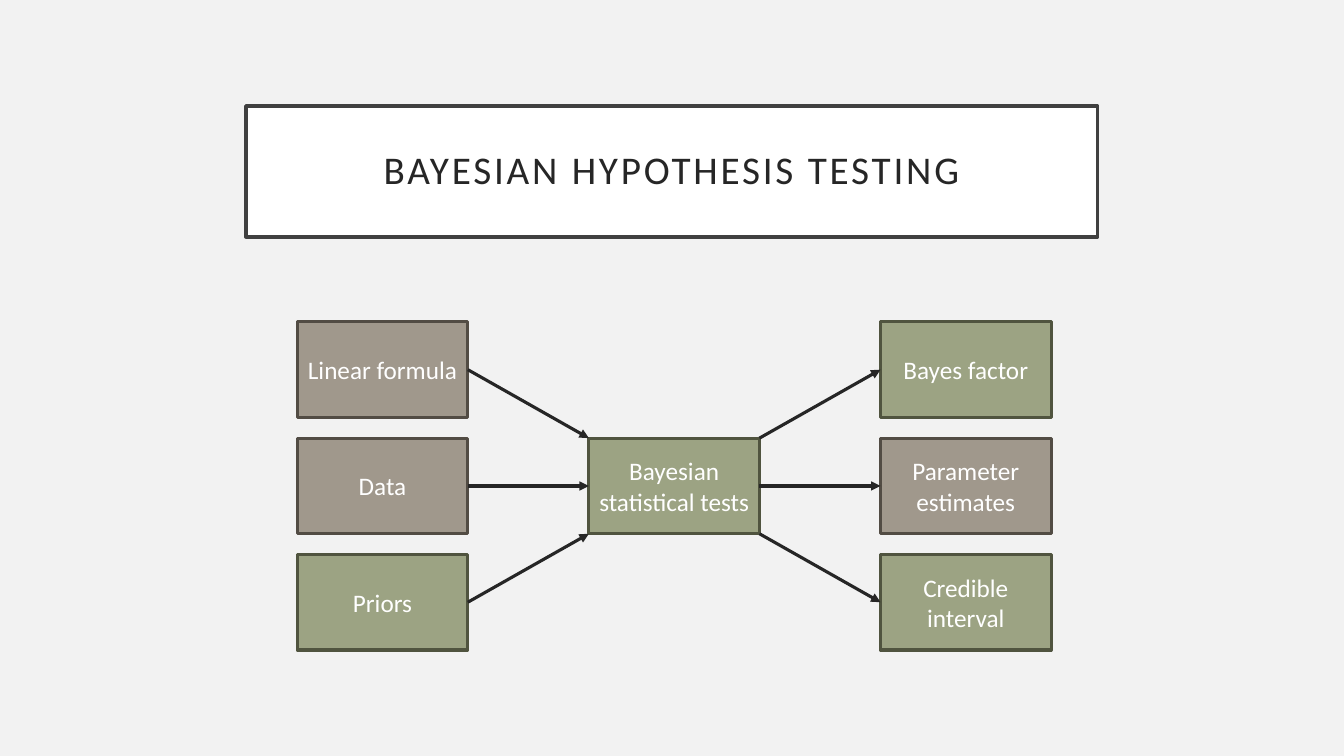
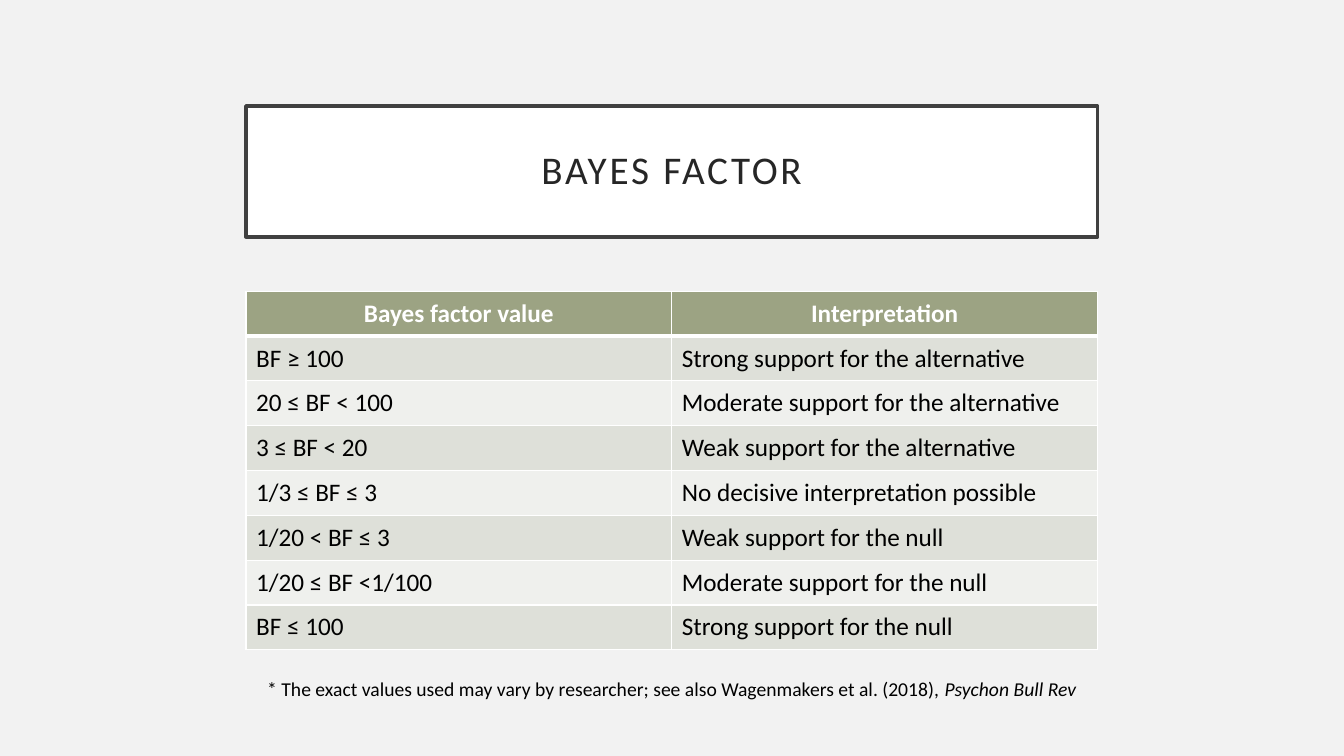
"""Build two slides on Bayesian hypothesis testing: a flow diagram and a table."""

import dataclasses
import typing

import lxml.etree
import pptx
import pptx.dml.color
import pptx.enum.shapes
import pptx.enum.text
import pptx.oxml.ns
import pptx.presentation
import pptx.shapes.autoshape
import pptx.slide
import pptx.table
import pptx.text.text
import pptx.util

Cm = pptx.util.Cm
Pt = pptx.util.Pt
RGBColor = pptx.dml.color.RGBColor
Align = pptx.enum.text.PP_ALIGN
Anchor = pptx.enum.text.MSO_ANCHOR

FONT = "Calibri"
BACKGROUND = RGBColor(0xF2, 0xF2, 0xF2)
WHITE = RGBColor(0xFF, 0xFF, 0xFF)
BLACK = RGBColor(0x00, 0x00, 0x00)
INK = RGBColor(0x26, 0x26, 0x26)
TITLE_LINE = RGBColor(0x40, 0x40, 0x40)
GREEN = RGBColor(0x9C, 0xA3, 0x83)
GREEN_LINE = RGBColor(0x50, 0x54, 0x3F)
TAUPE = RGBColor(0xA0, 0x98, 0x8C)
TAUPE_LINE = RGBColor(0x52, 0x4C, 0x44)
BAND_DARK = RGBColor(0xDE, 0xE0, 0xD9)
BAND_LIGHT = RGBColor(0xEF, 0xF0, 0xED)

CONTENT_LEFT, CONTENT_WIDTH = Cm(6.2), Cm(21.46)
TITLE_TOP, TITLE_HEIGHT, TITLE_INSET = Cm(2.67), Cm(3.3), Cm(0.51)
GRID_LEFT, GRID_TOP = Cm(7.49), Cm(8.11)
COLUMN_PITCH, ROW_PITCH = Cm(7.35), Cm(2.93)
NODE_WIDTH, NODE_HEIGHT = Cm(4.3), Cm(2.41)
TABLE_TOP, TABLE_ROW_HEIGHT = Cm(7.34), Cm(1.13)
NOTE_TOP, NOTE_HEIGHT = Cm(16.94), Cm(0.86)


class Palette(typing.NamedTuple):
    fill: RGBColor
    line: RGBColor


TITLE_PALETTE = Palette(WHITE, TITLE_LINE)
GREEN_PALETTE = Palette(GREEN, GREEN_LINE)
TAUPE_PALETTE = Palette(TAUPE, TAUPE_LINE)


@dataclasses.dataclass(frozen=True)
class Node:
    label: str
    column: int
    row: int
    palette: Palette

    @property
    def left(self) -> int:
        return GRID_LEFT + self.column * COLUMN_PITCH

    @property
    def right(self) -> int:
        return self.left + NODE_WIDTH

    @property
    def top(self) -> int:
        return GRID_TOP + self.row * ROW_PITCH

    @property
    def middle(self) -> int:
        return self.top + NODE_HEIGHT // 2


HUB = Node("Bayesian statistical tests", 1, 1, GREEN_PALETTE)
INPUTS = [
    Node("Linear formula", 0, 0, TAUPE_PALETTE),
    Node("Data", 0, 1, TAUPE_PALETTE),
    Node("Priors", 0, 2, GREEN_PALETTE),
]
OUTPUTS = [
    Node("Bayes factor", 2, 0, GREEN_PALETTE),
    Node("Parameter estimates", 2, 1, TAUPE_PALETTE),
    Node("Credible interval", 2, 2, GREEN_PALETTE),
]
INTERPRETATIONS = [
    ("Bayes factor value", "Interpretation"),
    ("BF ≥ 100", "Strong support for the alternative"),
    ("20 ≤ BF < 100", "Moderate support for the alternative"),
    ("3 ≤ BF < 20", "Weak support for the alternative"),
    ("1/3 ≤ BF ≤ 3", "No decisive interpretation possible"),
    ("1/20 < BF ≤ 3", "Weak support for the null"),
    ("1/20 ≤ BF <1/100", "Moderate support for the null"),
    ("BF ≤ 100", "Strong support for the null"),
]


def add_element(parent: lxml.etree._Element, tag: str, **attributes: str) -> lxml.etree._Element:
    return lxml.etree.SubElement(parent, pptx.oxml.ns.qn(tag), attributes)


def add_run(paragraph: pptx.text.text._Paragraph, text: str, size: float, color: RGBColor,
            bold: bool = False, italic: bool = False) -> pptx.text.text._Run:
    run = paragraph.add_run()
    run.text = text
    run.font.name = FONT
    run.font.size = Pt(size)
    run.font.color.rgb = color
    run.font.bold = bold
    run.font.italic = italic
    return run


def add_box(slide: pptx.slide.Slide, left: int, top: int, width: int, height: int,
            palette: Palette, line_width: float) -> pptx.shapes.autoshape.Shape:
    shape = slide.shapes.add_shape(
        pptx.enum.shapes.MSO_SHAPE.RECTANGLE, left, top, width, height)
    shape.shadow.inherit = False
    shape.fill.solid()
    shape.fill.fore_color.rgb = palette.fill
    shape.line.color.rgb = palette.line
    shape.line.width = Pt(line_width)
    shape.text_frame.word_wrap = True
    shape.text_frame.vertical_anchor = Anchor.MIDDLE
    shape.text_frame.paragraphs[0].alignment = Align.CENTER
    return shape


def add_titled_slide(presentation: pptx.presentation.Presentation, title: str) -> pptx.slide.Slide:
    slide = presentation.slides.add_slide(presentation.slide_layouts[6])
    slide.background.fill.solid()
    slide.background.fill.fore_color.rgb = BACKGROUND
    frame = add_box(slide, CONTENT_LEFT, TITLE_TOP, CONTENT_WIDTH, TITLE_HEIGHT,
                    TITLE_PALETTE, 2.5).text_frame
    frame.margin_left = frame.margin_right = TITLE_INSET
    frame.margin_top = frame.margin_bottom = TITLE_INSET
    paragraph = frame.paragraphs[0]
    paragraph.line_spacing = 0.9
    run = add_run(paragraph, title, 28, INK)
    run.font._element.set("spc", "200")
    return slide


def add_node(slide: pptx.slide.Slide, node: Node) -> None:
    shape = add_box(slide, node.left, node.top, NODE_WIDTH, NODE_HEIGHT, node.palette, 2.25)
    add_run(shape.text_frame.paragraphs[0], node.label, 18, WHITE)


def add_arrow(slide: pptx.slide.Slide, start: tuple[int, int], end: tuple[int, int]) -> None:
    connector = slide.shapes.add_connector(
        pptx.enum.shapes.MSO_CONNECTOR.STRAIGHT, *start, *end)
    connector.line.color.rgb = INK
    connector.line.width = Pt(2.25)
    properties = connector._element.spPr
    add_element(properties.find(pptx.oxml.ns.qn("a:ln")), "a:tailEnd", type="triangle")
    add_element(properties, "a:effectLst")


def add_flow(slide: pptx.slide.Slide) -> None:
    for node in [*INPUTS, HUB, *OUTPUTS]:
        add_node(slide, node)
    hub_heights = (HUB.top, HUB.middle, HUB.top + NODE_HEIGHT)
    for source, target, height in zip(INPUTS, OUTPUTS, hub_heights):
        add_arrow(slide, (source.right, source.middle), (HUB.left, height))
        add_arrow(slide, (HUB.right, height), (target.left, target.middle))


def set_borders(cell: pptx.table._Cell, top: float, bottom: float) -> None:
    properties = cell._tc.get_or_add_tcPr()
    for tag, width in (("a:lnL", 1), ("a:lnR", 1), ("a:lnT", top), ("a:lnB", bottom)):
        line = add_element(properties, tag, w=str(Pt(width)))
        add_element(add_element(line, "a:solidFill"), "a:srgbClr", val=str(WHITE))


def add_interpretation_table(slide: pptx.slide.Slide) -> None:
    row_count, column_count = len(INTERPRETATIONS), len(INTERPRETATIONS[0])
    table = slide.shapes.add_table(
        row_count, column_count, CONTENT_LEFT, TABLE_TOP,
        CONTENT_WIDTH, row_count * TABLE_ROW_HEIGHT).table
    for row_index, texts in enumerate(INTERPRETATIONS):
        header = row_index == 0
        band = BAND_DARK if row_index % 2 else BAND_LIGHT
        for column_index, text in enumerate(texts):
            cell = table.cell(row_index, column_index)
            set_borders(cell, top=3 if row_index == 1 else 1, bottom=3 if header else 1)
            cell.fill.solid()
            cell.fill.fore_color.rgb = GREEN if header else band
            cell.vertical_anchor = Anchor.MIDDLE
            paragraph = cell.text_frame.paragraphs[0]
            paragraph.alignment = Align.CENTER if header else Align.LEFT
            add_run(paragraph, text, 18, WHITE if header else BLACK, bold=header)


def add_note(slide: pptx.slide.Slide) -> None:
    frame = slide.shapes.add_textbox(
        CONTENT_LEFT, NOTE_TOP, CONTENT_WIDTH, NOTE_HEIGHT).text_frame
    frame.word_wrap = True
    frame.auto_size = pptx.enum.text.MSO_AUTO_SIZE.SHAPE_TO_FIT_TEXT
    paragraph = frame.paragraphs[0]
    paragraph.alignment = Align.CENTER
    add_run(paragraph, "* The exact values used may vary by researcher; "
            "see also Wagenmakers et al. (2018), ", 14, BLACK)
    add_run(paragraph, "Psychon Bull Rev", 14, BLACK, italic=True)


def main() -> None:
    presentation = pptx.Presentation()
    presentation.slide_width = Cm(33.87)
    presentation.slide_height = Cm(19.05)
    add_flow(add_titled_slide(presentation, "BAYESIAN HYPOTHESIS TESTING"))
    factor_slide = add_titled_slide(presentation, "BAYES FACTOR")
    add_interpretation_table(factor_slide)
    add_note(factor_slide)
    presentation.save("out.pptx")


if __name__ == "__main__":
    main()
